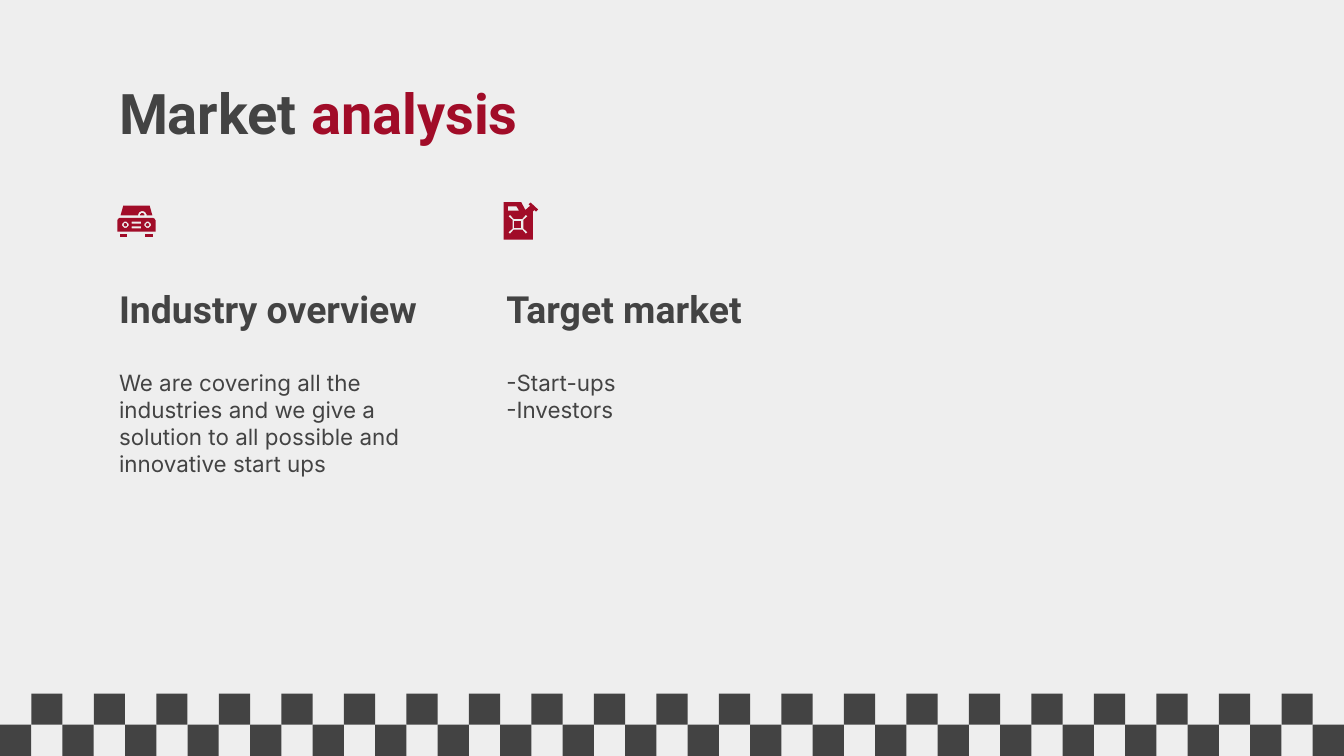
"""Build the market analysis slide with two topics and a chequered footer."""
from dataclasses import dataclass
from math import cos, pi, sin

from pptx import Presentation
from pptx.dml.color import RGBColor as RGB
from pptx.enum.shapes import MSO_SHAPE as Shp
from pptx.enum.text import MSO_ANCHOR as Anchor
from pptx.util import Cm, Pt


@dataclass(frozen=True)
class Theme:
    paper: RGB = RGB(0xEE, 0xEE, 0xEE)
    ink: RGB = RGB(0x43, 0x43, 0x43)
    accent: RGB = RGB(0xA1, 0x0C, 0x28)
    head: str = "Roboto"
    text: str = "Inter"
    title_size: Pt = Pt(30)
    topic_size: Pt = Pt(20)
    body_size: Pt = Pt(12)


T = Theme()
WIDTH, HEIGHT = 25.4, 14.29
COLUMNS = (2, 9.32)
TITLE = {"name": T.head, "size": T.title_size, "bold": True}
TOPIC = {"name": T.head, "size": T.topic_size, "bold": True}
BODY = {"name": T.text, "size": T.body_size, "bold": False}


def set_all(obj, values):
    for key, value in values.items():
        setattr(obj, key, value)


def paint(sp, color):
    sp.shadow.inherit = False
    sp.fill.solid()
    sp.fill.fore_color.rgb = color
    sp.line.fill.background()


def add_text(s, box, paragraphs, font, anchor=Anchor.TOP):
    tf = s.shapes.add_textbox(*map(Cm, box)).text_frame
    sides = ("left", "top", "right", "bottom")
    set_all(tf, {"word_wrap": True, "vertical_anchor": anchor,
                 **{f"margin_{side}": Cm(0.25) for side in sides}})
    for i, runs in enumerate(paragraphs):
        p = tf.add_paragraph() if i else tf.paragraphs[0]
        for text, color in runs:
            r = p.add_run()
            r.text = text
            set_all(r.font, font)
            r.font.color.rgb = color


def arc(x, y, radius, start=0, end=360, steps=24):
    angles = [(start + (end - start) * i / steps) * pi / 180 for i in range(steps + 1)]
    return [(x + radius * cos(a), y + radius * sin(a)) for a in angles]


def rect(left, top, right, bottom):
    return [(left, top), (right, top), (right, bottom), (left, bottom)]


def add_outline(group, origin, contours):
    first, *holes = contours
    builder = group.shapes.build_freeform(*first[0], scale=Cm(0.01))
    builder.add_line_segments(first[1:], close=True)
    for hole in holes:
        builder.move_to(*hole[0])
        builder.add_line_segments(hole[1:], close=True)
    paint(builder.convert_to_shape(*map(Cm, origin)), T.accent)


def add_icon(s, origin, parts):
    group = s.shapes.add_group_shape()
    for contours in parts:
        add_outline(group, origin, contours)


def car_parts():
    lamps = (15, 57)
    roof = [(11, 0), (61, 0), (66, 18), *arc(47, 18, 8, 360, 180), (6, 18)]
    body = [(0, 49), *arc(6, 29, 6, 180, 270), *arc(66, 29, 6, 270, 360), (72, 49)]
    grille = [rect(27, y, 45, y + 4) for y in (30, 39)]
    return [
        *[[rect(x, 53, x + 15, 60)] for x in (4, 53)],
        [arc(47, 18, 4, 180, 360)],
        [roof],
        *[[arc(x, 36, 3)] for x in lamps],
        [body, *[arc(x, 36, 6) for x in lamps], *grille],
    ]


def fuel_can_parts():
    can = [(51, 1), (47, 4), (50, 7), (41, 15), (33, 0), (0, 0), (0, 71),
           (55, 71), (55, 18), (58, 15), (61, 18), (65, 14)]
    handle = [(8, 8), (24, 8), (29, 16), (8, 16)]
    arm = [(18, 15), (15, 18), (8, 10)]
    cross = []
    for turn in range(4):
        c, d = ((1, 0), (0, 1), (-1, 0), (0, -1))[turn]
        cross += [(27 + c * x - d * y, 42 + d * x + c * y) for x, y in reversed(arm)]
        cross.append((27 - c * 10 - d * 8, 42 - d * 10 + c * 8))
    cross = [point for i, point in enumerate(cross) if i % 4 != 0]
    corners = []
    for sx, sy in ((1, 1), (-1, 1), (-1, -1), (1, -1)):
        tip = [(10, 8), (18, 15), (15, 18), (8, 10)]
        points = [(27 + sx * x, 42 + sy * y) for x, y in tip]
        corners += points if sx == sy else points[::-1]
    return [[rect(20, 36, 33, 49)], [can, handle, corners]]


def add_checkers(s, count=43):
    side = WIDTH / count
    for i in range(count):
        top = HEIGHT - side * (1 + i % 2)
        sp = s.shapes.add_shape(Shp.RECTANGLE, *map(Cm, (i * side, top, side, side)))
        paint(sp, T.ink)


def add_topic(s, left, heading, lines):
    add_text(s, (left, 4.9, 6.76, 1.6), [[(heading, T.ink)]], TOPIC, Anchor.BOTTOM)
    add_text(s, (left, 6.73, 6.76, 4.62), [[(line, T.ink)] for line in lines], BODY)


def main():
    prs = Presentation()
    set_all(prs, {"slide_width": Cm(WIDTH), "slide_height": Cm(HEIGHT)})
    s = prs.slides.add_slide(prs.slide_layouts[6])
    s.background.fill.solid()
    s.background.fill.fore_color.rgb = T.paper
    add_checkers(s)
    title = [("Market ", T.ink), ("analysis", T.accent)]
    add_text(s, (COLUMNS[0], 1.24, 21.41, 1.6), [title], TITLE)
    topics = (
        ("Industry overview", ["We are covering all the industries and we give a "
                               "solution to all possible and innovative start ups"]),
        ("Target market", ["-Start-ups", "-Investors"]),
    )
    for left, (heading, lines) in zip(COLUMNS, topics):
        add_topic(s, left, heading, lines)
    add_icon(s, (2.22, 3.89), car_parts())
    add_icon(s, (9.52, 3.82), fuel_can_parts())
    prs.save("out.pptx")


if __name__ == "__main__":
    main()
